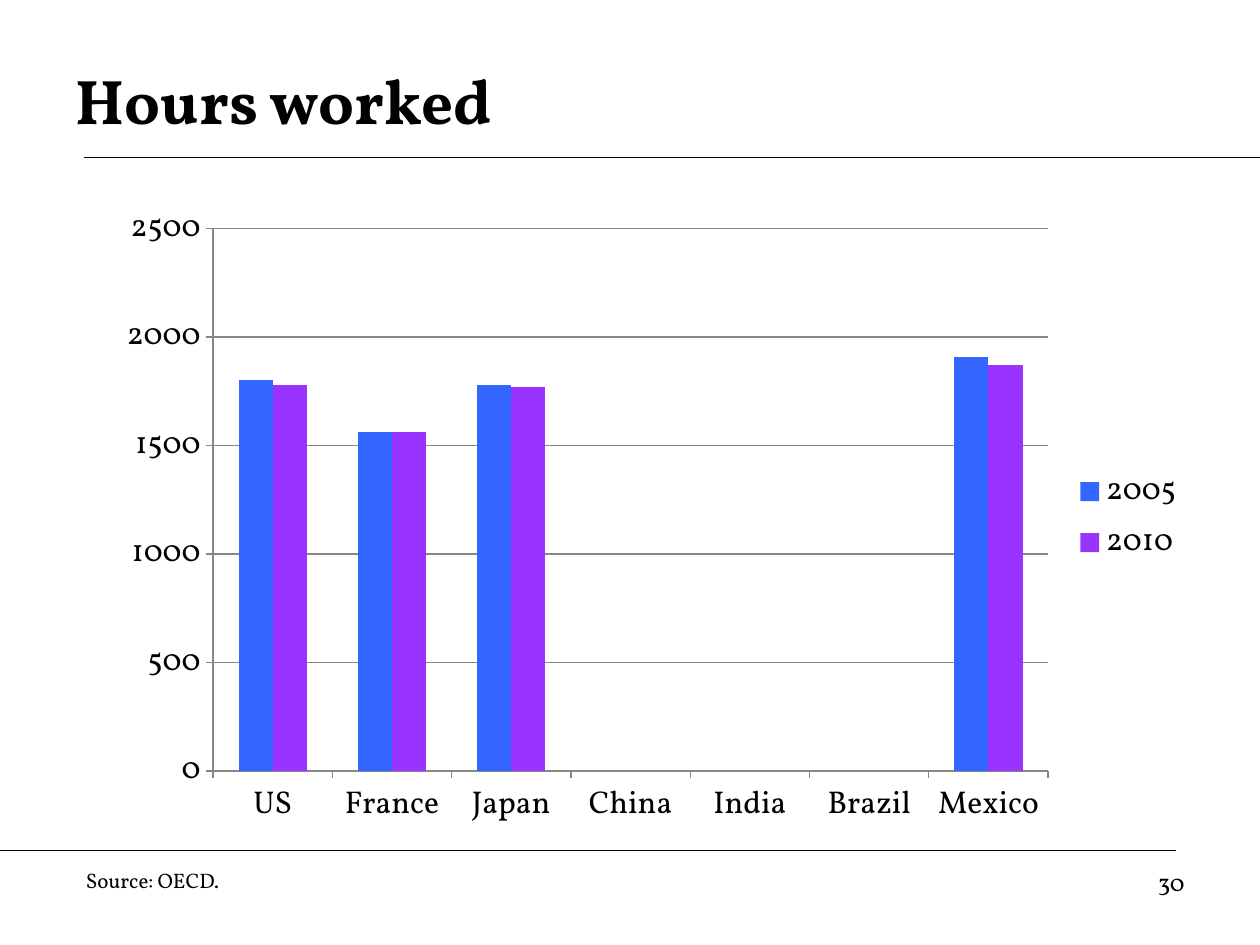
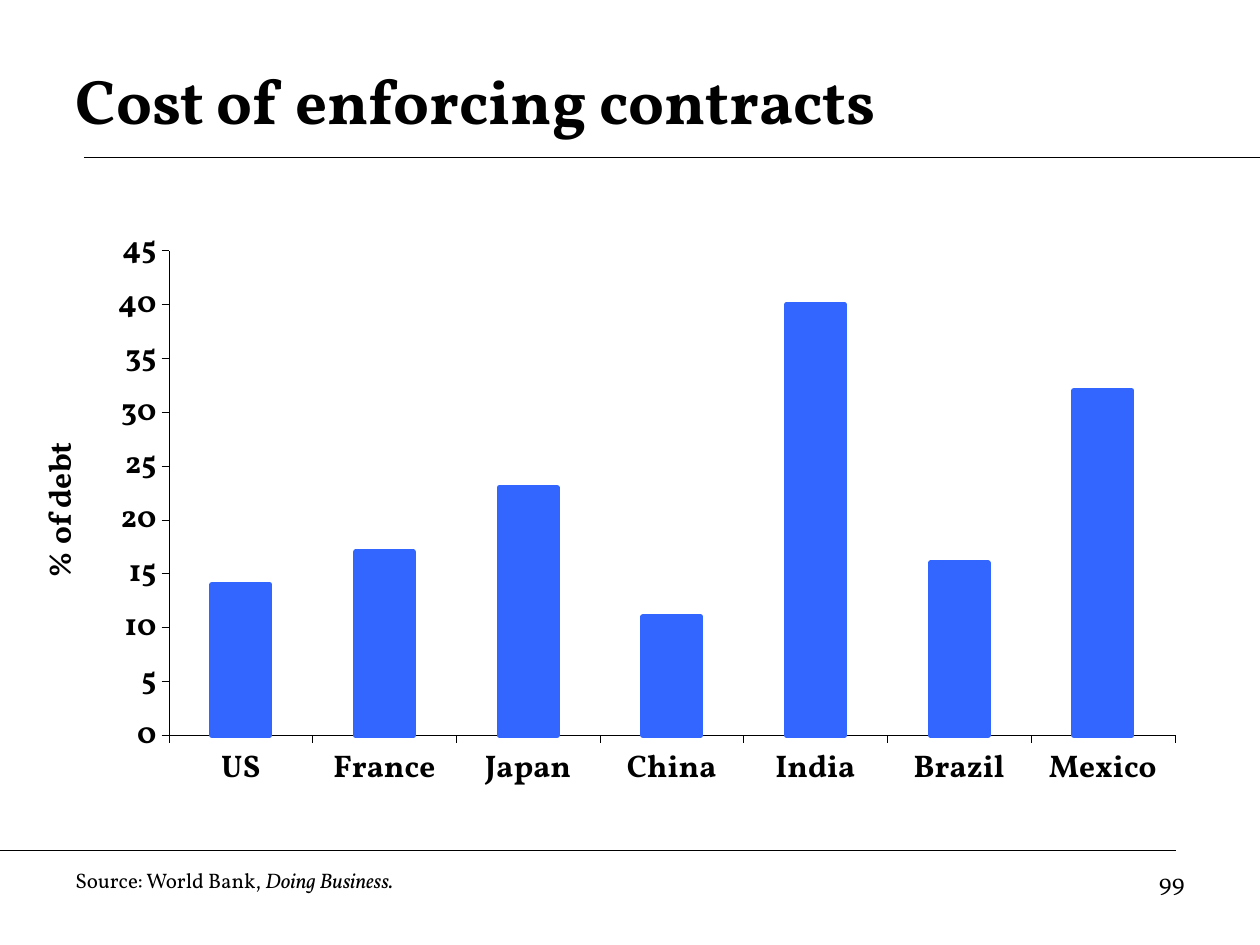
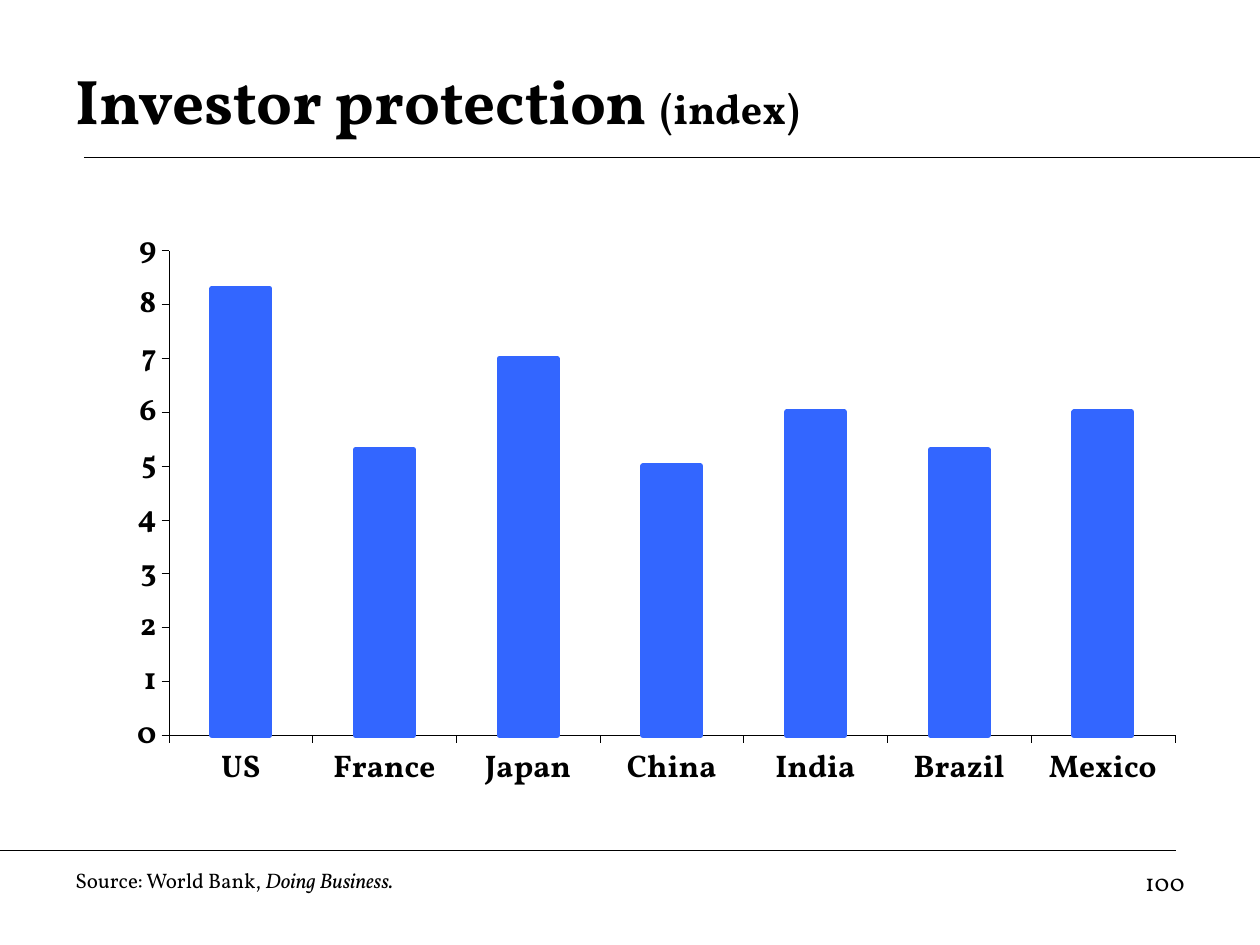
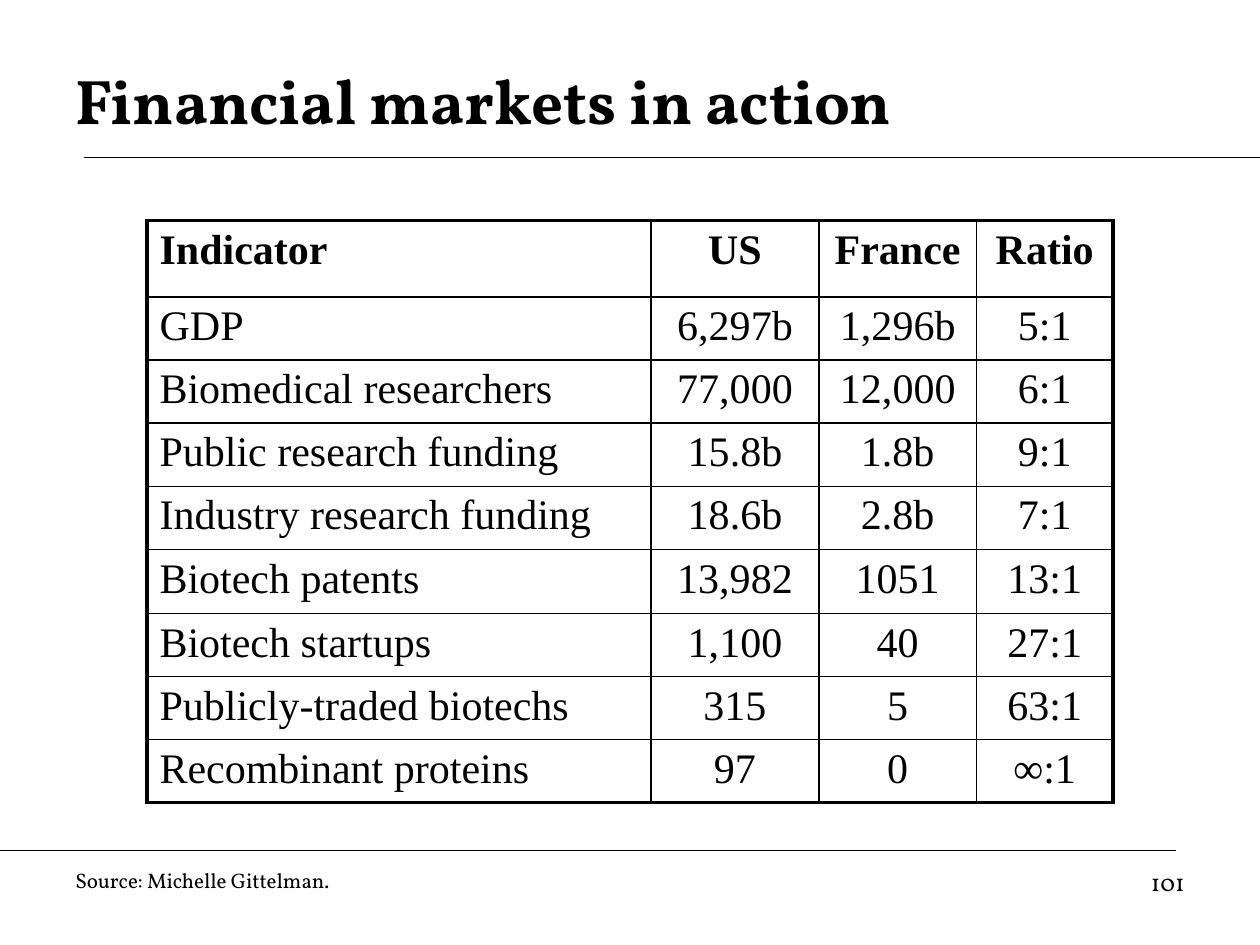
"""Build four slides on hours worked, contracts, investor protection and biotech."""
from lxml import etree
from pptx import Presentation
from pptx.chart.data import CategoryChartData
from pptx.dml.color import RGBColor
from pptx.enum.chart import XL_CHART_TYPE, XL_LEGEND_POSITION, XL_TICK_MARK
from pptx.enum.shapes import MSO_CONNECTOR
from pptx.enum.text import MSO_ANCHOR, MSO_AUTO_SIZE, PP_ALIGN
from pptx.oxml.ns import qn
from pptx.util import Inches, Pt

COLUMN_CLUSTERED = XL_CHART_TYPE.COLUMN_CLUSTERED
LEGEND_RIGHT = XL_LEGEND_POSITION.RIGHT
TICK_NONE, TICK_OUTSIDE = XL_TICK_MARK.NONE, XL_TICK_MARK.OUTSIDE
STRAIGHT = MSO_CONNECTOR.STRAIGHT
MIDDLE = MSO_ANCHOR.MIDDLE
NO_AUTOFIT = MSO_AUTO_SIZE.NONE
LEFT, CENTER, RIGHT = PP_ALIGN.LEFT, PP_ALIGN.CENTER, PP_ALIGN.RIGHT

COLORS = {"black": "000000", "grid": "878787", "blue": "3366FF", "purple": "9933FF"}
FONT, TABLE_FONT = "Vollkorn", "Times New Roman"

presentation = Presentation()
presentation.slide_width, presentation.slide_height = Inches(10), Inches(7.5)
UNIT = presentation.slide_width / 120
TITLE_ONLY = presentation.slide_layouts[5]

TITLE_BOX = (6, 4, 108, 11)
NUMBER_BOX = (86, 82, 28, 6.2)
WIDE_SOURCE_BOX = (6, 82, 77, 3.6)
RULES = [(8, 15, 120, 15), (0, 81, 112, 81)]

COUNTRIES = ["US", "France", "Japan", "China", "India", "Brazil", "Mexico"]
BANK_SOURCE = [("Source: World Bank, ", {}), ("Doing Business.", {"italic": True})]
WIDE_CHART = {
    "box": (2, 19.2, 111, 60.6), "size": 17.9, "bold": True, "axis": ("black", 0.25),
    "outline": 3, "plot": {"x": 0.127, "y": 0.077, "w": 0.863, "h": 0.762},
}
SLIDES = [
    {
        "title": [("Hours worked", {})], "number": "30",
        "source": [("Source: OECD.", {})], "source_box": (7, 82, 58, 3.6),
        "chart": {
            "box": (10, 18.4, 104, 61.7), "size": 18, "bold": False,
            "axis": ("grid", 0.75), "scale": (2500, 500), "legend": True,
            "series": [
                ("2005", [1800, 1560, 1780, None, None, None, 1910], "blue"),
                ("2010", [1780, 1560, 1770, None, None, None, 1870], "purple"),
            ],
        },
    },
    {
        "title": [("Cost of enforcing contracts", {})], "number": "99",
        "source": BANK_SOURCE,
        "chart": {
            **WIDE_CHART, "scale": (45, 5), "axis_title": "% of debt",
            "series": [("Series 1", [14, 17, 23, 11, 40, 16, 32], "blue")],
        },
    },
    {
        "title": [("Investor protection ", {}), ("(index)", {"size": Pt(24)})],
        "number": "100", "source": BANK_SOURCE,
        "chart": {
            **WIDE_CHART, "scale": (9, 1),
            "series": [("Series 1", [8.3, 5.3, 7, 5, 6, 5.3, 6], "blue")],
        },
    },
    {
        "title": [("Financial markets in action", {})], "number": "101",
        "source": [("Source: Michelle Gittelman.", {})],
        "table": [
            ("Indicator", "US", "France", "Ratio"),
            ("GDP", "6,297b", "1,296b", "5:1"),
            ("Biomedical researchers", "77,000", "12,000", "6:1"),
            ("Public research funding", "15.8b", "1.8b", "9:1"),
            ("Industry research funding", "18.6b", "2.8b", "7:1"),
            ("Biotech patents", "13,982", "1051", "13:1"),
            ("Biotech startups", "1,100", "40", "27:1"),
            ("Publicly-traded biotechs", "315", "5", "63:1"),
            ("Recombinant proteins", "97", "0", "∞:1"),
        ],
    },
]
COLUMN_WIDTHS = [48, 16, 15, 13]
ROW_HEIGHTS = [7.3] + [5.3] * 4 + [6.1] + [5.3] * 3


def grid(values):
    """Turn grid units into slide lengths."""
    return [round(value * UNIT) for value in values]


def write(paragraph, runs, alignment=LEFT, **formats):
    """Fill a paragraph with runs that share a font and differ by their own formats."""
    paragraph.alignment = alignment
    for text, own_formats in runs:
        run = paragraph.add_run()
        run.text = text
        run.font.color.rgb = RGBColor.from_string(COLORS["black"])
        for name, value in {"name": FONT, **formats, **own_formats}.items():
            setattr(run.font, name, value)


for content in SLIDES:
    slide = presentation.slides.add_slide(TITLE_ONLY)

    for ends in RULES:
        rule = slide.shapes.add_connector(STRAIGHT, *grid(ends))
        rule.line.color.rgb = RGBColor.from_string(COLORS["black"])
        rule.line.width = Pt(0.75)
        etree.SubElement(rule.element.spPr, qn("a:effectLst"))

    title = slide.shapes.title
    title.left, title.top, title.width, title.height = grid(TITLE_BOX)
    title.text_frame.vertical_anchor = MIDDLE
    title.text_frame.auto_size = NO_AUTOFIT
    write(title.text_frame.paragraphs[0], content["title"], size=Pt(36), bold=True)

    source_box = content.get("source_box", WIDE_SOURCE_BOX)
    for box, runs, size, alignment in [
        (source_box, content["source"], 12, LEFT),
        (NUMBER_BOX, [(content["number"], {})], 14, RIGHT),
    ]:
        text_frame = slide.shapes.add_textbox(*grid(box)).text_frame
        text_frame.word_wrap = True
        write(text_frame.paragraphs[0], runs, alignment, size=Pt(size))

    if "chart" in content:
        settings = content["chart"]
        chart_data = CategoryChartData()
        chart_data.categories = COUNTRIES
        for name, values, color in settings["series"]:
            chart_data.add_series(name, values)
        chart = slide.shapes.add_chart(
            COLUMN_CLUSTERED, *grid(settings["box"]), chart_data).chart
        chart.has_title = False
        chart.font.name, chart.font.size = FONT, Pt(settings["size"])
        chart.font.bold = settings["bold"]
        chart.font.color.rgb = RGBColor.from_string(COLORS["black"])

        chart.has_legend = settings.get("legend", False)
        if chart.has_legend:
            chart.legend.position = LEGEND_RIGHT
            chart.legend.include_in_layout = False

        plot = chart.plots[0]
        plot.gap_width, plot.overlap = 150, 0
        plot.vary_by_categories = False
        for series, (name, values, color) in zip(plot.series, settings["series"]):
            series.format.fill.solid()
            series.format.fill.fore_color.rgb = RGBColor.from_string(COLORS[color])
            if "outline" in settings:
                series.format.line.color.rgb = RGBColor.from_string(COLORS[color])
                series.format.line.width = Pt(settings["outline"])

        axis_color, axis_width = settings["axis"]
        value_axis = chart.value_axis
        value_axis.minimum_scale = 0
        value_axis.maximum_scale, value_axis.major_unit = settings["scale"]
        value_axis.has_major_gridlines = chart.has_legend
        axis_lines = [chart.category_axis.format.line, value_axis.format.line]
        if chart.has_legend:
            axis_lines.append(value_axis.major_gridlines.format.line)
        for line in axis_lines:
            line.color.rgb = RGBColor.from_string(COLORS[axis_color])
            line.width = Pt(axis_width)
        for axis in (chart.category_axis, value_axis):
            axis.major_tick_mark, axis.minor_tick_mark = TICK_OUTSIDE, TICK_NONE

        if "axis_title" in settings:
            title_frame = value_axis.axis_title.text_frame
            write(title_frame.paragraphs[0], [(settings["axis_title"], {})], CENTER,
                  size=Pt(settings["size"]), bold=True)
            body = chart.element.xpath(".//c:valAx/c:title//a:bodyPr")[0]
            body.set("rot", "-5400000")
            body.set("vert", "horz")

        if "plot" in settings:
            plot_area = chart.element.xpath("c:chart/c:plotArea")[0]
            for layout in plot_area.findall(qn("c:layout")):
                plot_area.remove(layout)
            layout = etree.Element(qn("c:layout"))
            plot_area.insert(0, layout)
            manual = etree.SubElement(layout, qn("c:manualLayout"))
            places = {"layoutTarget": "inner", "xMode": "edge", "yMode": "edge",
                      **settings["plot"]}
            for name, value in places.items():
                etree.SubElement(manual, qn(f"c:{name}"), val=str(value))

    if "table" in content:
        rows = content["table"]
        last_row, last_column = len(rows) - 1, len(COLUMN_WIDTHS) - 1
        box = (14, 21, sum(COLUMN_WIDTHS), sum(ROW_HEIGHTS))
        table = slide.shapes.add_table(len(rows), len(COLUMN_WIDTHS), *grid(box)).table
        table.first_row = table.horz_banding = False
        for column, width in zip(table.columns, grid(COLUMN_WIDTHS)):
            column.width = width
        for row, height in zip(table.rows, grid(ROW_HEIGHTS)):
            row.height = height
        for row_index, row in enumerate(rows):
            for column_index, text in enumerate(row):
                cell = table.cell(row_index, column_index)
                cell.fill.background()
                write(cell.text_frame.paragraphs[0], [(text, {})],
                      CENTER if column_index else LEFT,
                      name=TABLE_FONT, size=Pt(24), bold=row_index == 0)
                outer_edges = {
                    "L": column_index == 0, "R": column_index == last_column,
                    "T": row_index == 0, "B": row_index == last_row,
                }
                properties = cell._tc.get_or_add_tcPr()
                for position, (side, is_outer) in enumerate(outer_edges.items()):
                    border = etree.Element(
                        qn(f"a:ln{side}"), w=str(Pt(2.25 if is_outer else 1)))
                    fill = etree.SubElement(border, qn("a:solidFill"))
                    etree.SubElement(fill, qn("a:srgbClr"), val=COLORS["black"])
                    properties.insert(position, border)

presentation.save("out.pptx")
